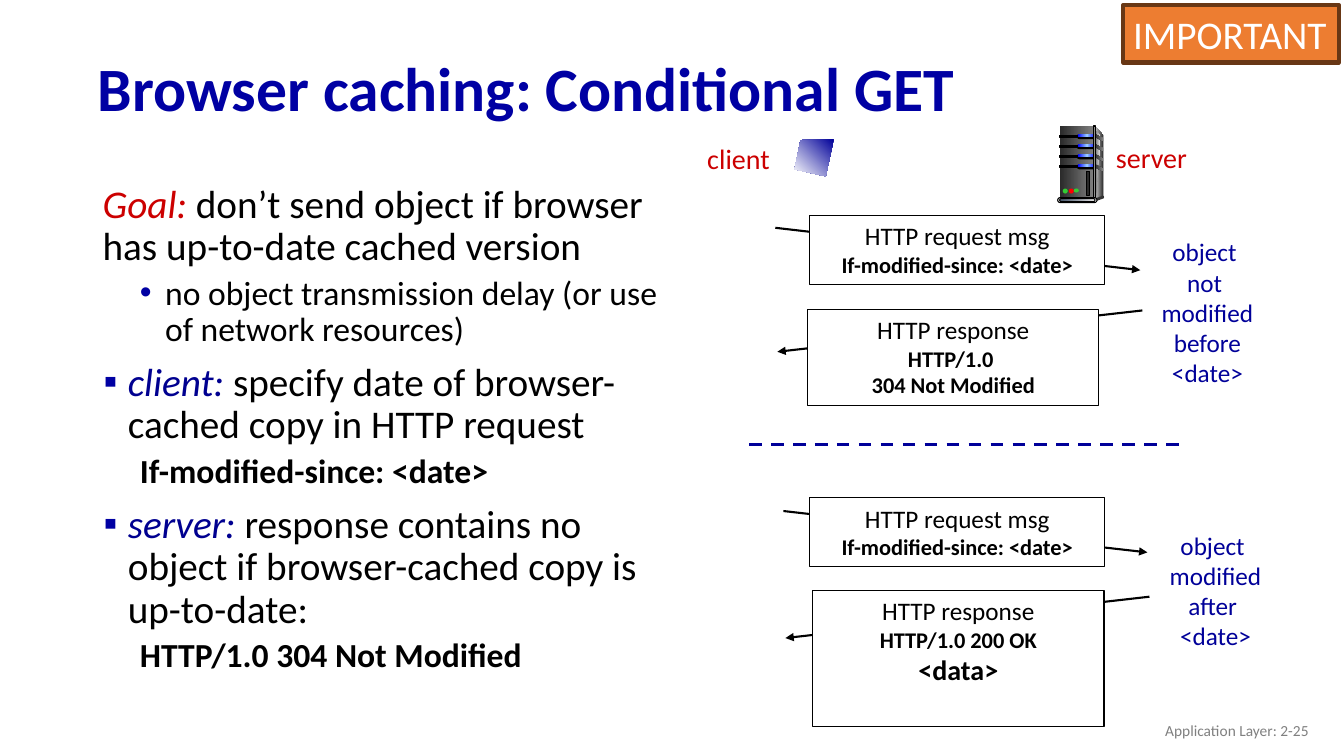
import pptx
import pptx.util
import pptx.dml.color
import pptx.enum.dml
import pptx.enum.shapes
import pptx.enum.text
import pptx.oxml.ns
import lxml.etree

Inches = pptx.util.Inches
Pt = pptx.util.Pt
qn = pptx.oxml.ns.qn
MSO = pptx.enum.shapes.MSO_SHAPE
ANCHOR = pptx.enum.text.MSO_ANCHOR
ALIGN = pptx.enum.text.PP_ALIGN


def paint(fill, colors, angle=0):
    if isinstance(colors, str):
        fill.solid()
        fill.fore_color.rgb = pptx.dml.color.RGBColor.from_string(colors)
        return
    fill.gradient()
    fill.gradient_angle = angle
    stops = fill._xPr.find(".//" + qn("a:gsLst"))
    for gs in list(stops):
        stops.remove(gs)
    for i, color in enumerate(colors):
        gs = lxml.etree.SubElement(stops, qn("a:gs"), pos=str(100000 * i // (len(colors) - 1)))
        lxml.etree.SubElement(gs, qn("a:srgbClr"), val=color)


def write(tf, text, size=18, color="000000", bold=False, italic=False, align=ALIGN.LEFT, new=True):
    p = tf.paragraphs[-1]
    if new and p.runs:
        p = tf.add_paragraph()
    p.alignment = align
    r = p.add_run()
    r.text = text
    r.font.name = "Calibri"
    r.font.size = Pt(size)
    r.font.bold = bold
    r.font.italic = italic
    paint(r.font.fill, color)
    return p


prs = pptx.Presentation()
prs.slide_width = Inches(13.33)
prs.slide_height = Inches(7.5)
slide = prs.slides.add_slide(prs.slide_layouts[6])
shapes = slide.shapes

sp = shapes.add_textbox(Inches(0.87), Inches(0.42), Inches(11.5), Inches(0.98))
tf = sp.text_frame
tf.word_wrap = True
tf.vertical_anchor = ANCHOR.MIDDLE
p = write(tf, "Browser caching: Conditional GET", size=44, color="0000A3", bold=True)
p.line_spacing = 0.9

body = [
    ("Goal:", "CC0000", " don’t send object if browser has up-to-date cached version", 0, 0.14, 0, None),
    ("", "", "no object transmission delay (or use of network resources)", 1, 0.76, -0.25, "•"),
    ("client: ", "000090", "specify date of browser-cached copy in HTTP request", 0, 0.39, -0.24, "▪"),
    ("", "", "If-modified-since: <date>", 1, 0.76, -0.25, None),
    ("server: ", "000090", "response contains no object if browser-cached copy is up-to-date:", 0, 0.39, -0.24, "▪"),
    ("", "", "HTTP/1.0 304 Not Modified", 1, 0.76, -0.25, None),
]
sp = shapes.add_textbox(Inches(0.78), Inches(1.78), Inches(6.12), Inches(5.61))
tf = sp.text_frame
tf.word_wrap = True
for i, (lead, lead_color, text, level, margin, indent, bullet) in enumerate(body):
    size = 24 if level else 28
    if lead:
        write(tf, lead, size=size, color=lead_color, italic=True)
    p = write(tf, text, size=size, bold=bool(level and not bullet), new=not lead)
    p.level = level
    p.line_spacing = 0.9
    if i:
        p.space_before = Pt(5 if level else 10)
    pPr = p._p.get_or_add_pPr()
    pPr.set("marL", str(Inches(margin)))
    pPr.set("indent", str(Inches(indent)))
    if bullet:
        clr = lxml.etree.SubElement(pPr, qn("a:buClr"))
        lxml.etree.SubElement(clr, qn("a:srgbClr"), val="0000A3")
        lxml.etree.SubElement(pPr, qn("a:buFont"), typeface="Arial")
        lxml.etree.SubElement(pPr, qn("a:buChar"), char=bullet)
    else:
        lxml.etree.SubElement(pPr, qn("a:buNone"))

lines = [
    (7.69, 2.26, 11.31, 2.68, True),
    (11.33, 3.08, 7.71, 3.49, True),
    (7.43, 4.41, 11.7, 4.41, False),
    (7.77, 5.07, 11.38, 5.48, True),
    (11.4, 5.92, 7.79, 6.33, True),
]
for x1, y1, x2, y2, arrow in lines:
    line = shapes.add_connector(pptx.enum.shapes.MSO_CONNECTOR.STRAIGHT,
                                Inches(x1), Inches(y1), Inches(x2), Inches(y2))
    paint(line.line.fill, "000000" if arrow else "000099")
    line.line.width = Pt(1.5 if arrow else 2.25)
    if arrow:
        lxml.etree.SubElement(line.line._get_or_add_ln(), qn("a:tailEnd"), type="triangle")
    else:
        line.line.dash_style = pptx.enum.dml.MSO_LINE.DASH
    lxml.etree.SubElement(line._element.spPr, qn("a:effectLst"))

request = [("HTTP request msg", 18), ("If-modified-since: <date>", 16)]
messages = [
    (8.03, 2.14, 2.93, 0.68, request),
    (8.01, 3.07, 2.89, 0.95, [("HTTP response", 18), ("HTTP/1.0 ", 16), ("304 Not Modified", 16)]),
    (8.03, 4.94, 2.93, 0.68, request),
    (8.06, 5.86, 2.89, 1.35, [("HTTP response", 18), ("HTTP/1.0 200 OK", 16), ("<data>", 20)]),
]
for x, y, w, h, texts in messages:
    sp = shapes.add_shape(MSO.RECTANGLE, Inches(x), Inches(y), Inches(w), Inches(h))
    sp.shadow.inherit = False
    paint(sp.fill, "FFFFFF")
    paint(sp.line.fill, "000000")
    sp.line.width = Pt(0.75)
    tf = sp.text_frame
    tf.vertical_anchor = ANCHOR.TOP
    for i, (text, size) in enumerate(texts):
        write(tf, text, size=size, bold=i > 0, align=ALIGN.CENTER)

labels = [
    (11.4, 2.3, 1.15, 1.6, 18, "000099", ["object ", "not ", "modified", "before", "<date>"]),
    (11.48, 5.21, 1.15, 1.3, 18, "000099", ["object ", "modified", "after ", "<date>"]),
    (6.9, 1.35, 0.85, 0.43, 20, "CC0000", ["client"]),
    (10.96, 1.34, 0.92, 0.44, 20, "CC0000", ["server"]),
]
for x, y, w, h, size, color, texts in labels:
    sp = shapes.add_textbox(Inches(x), Inches(y), Inches(w), Inches(h))
    sp.text_frame.word_wrap = False
    for text in texts:
        write(sp.text_frame, text, size=size, color=color, align=ALIGN.CENTER)

steel = ("292929", "808080")
outlines = [
    ([(10.87, 1.26), (10.94, 1.34), (10.94, 1.94), (10.85, 1.97)], ("DDDDDD", "333333"), 0),
    ([(10.87, 1.3), (10.92, 1.36), (10.89, 1.65), (10.87, 1.95)], ("808080", "F8F8F8"), 0),
    ([(10.86, 1.97), (10.86, 2), (10.94, 1.97), (10.94, 1.94)], "333333", 0),
    ([(8.27, 1.38), (7.94, 1.39), (7.88, 1.68), (8.19, 1.75)], ("000099", "FFFFFF"), 225),
]
bays = [1.33 + 0.1 * i for i in range(4)]
for y in bays:
    outlines.append(([(10.86, y), (10.94, y + 0.04), (10.94, y + 0.07), (10.86, y + 0.03)], steel, 0))
for points, fill, angle in outlines:
    corners = [(Inches(x), Inches(y)) for x, y in points]
    builder = shapes.build_freeform(*corners[0], scale=1.0)
    builder.add_line_segments(corners[1:], close=True)
    sp = builder.convert_to_shape()
    sp.shadow.inherit = False
    paint(sp.fill, fill, angle)
    sp.line.fill.background()

parts = [(MSO.RECTANGLE, 10.51, 1.25, 0.34, 0.72, steel, False)]
for y in bays:
    parts += [
        (MSO.RECTANGLE, 10.51, y + 0.01, 0.19, 0.02, "000000", True),
        (MSO.ROUNDED_RECTANGLE, 10.68, y, 0.19, 0.05, "000000", False),
        (MSO.ROUNDED_RECTANGLE, 10.69, y, 0.18, 0.03, ("0000FF", "99CCFF", "0000FF"), False),
    ]
parts += [
    (MSO.RECTANGLE, 10.85, 1.25, 0.02, 0.72, ("333333", "DDDDDD", "333333"), True),
    (MSO.OVAL, 10.93, 1.94, 0.02, 0.03, "333333", False),
    (MSO.ROUNDED_RECTANGLE, 10.49, 1.96, 0.39, 0.05, "DDDDDD", True),
    (MSO.ROUNDED_RECTANGLE, 10.51, 1.97, 0.35, 0.03, ("44546A", "E7E6E6"), True),
    (MSO.OVAL, 10.54, 1.87, 0.05, 0.05, "33CC33", False),
    (MSO.OVAL, 10.6, 1.87, 0.05, 0.05, "FF0000", False),
    (MSO.OVAL, 10.65, 1.87, 0.05, 0.04, "33CC33", False),
    (MSO.RECTANGLE, 10.78, 1.7, 0.03, 0.24, "292929", True),
]
for kind, x, y, w, h, fill, outlined in parts:
    sp = shapes.add_shape(kind, Inches(x), Inches(y), Inches(w), Inches(h))
    sp.shadow.inherit = False
    if kind == MSO.ROUNDED_RECTANGLE:
        sp.adjustments[0] = 0.5
    paint(sp.fill, fill)
    if outlined:
        paint(sp.line.fill, "000000")
        sp.line.width = Pt(0.75)
    else:
        sp.line.fill.background()

sp = shapes.add_textbox(Inches(10.08), Inches(7.05), Inches(3), Inches(0.4))
tf = sp.text_frame
tf.word_wrap = True
tf.vertical_anchor = ANCHOR.MIDDLE
write(tf, "Application Layer: 2-25", size=11, color="808080", align=ALIGN.RIGHT)

sp = shapes.add_shape(MSO.RECTANGLE, Inches(11.14), Inches(0.05), Inches(2.14), Inches(0.57))
sp.shadow.inherit = False
paint(sp.fill, "ED7D31")
paint(sp.line.fill, "683715")
sp.line.width = Pt(3)
tf = sp.text_frame
tf.word_wrap = False
tf.vertical_anchor = ANCHOR.TOP
write(tf, "IMPORTANT", size=28, color="FFFFFF")

prs.save("out.pptx")
